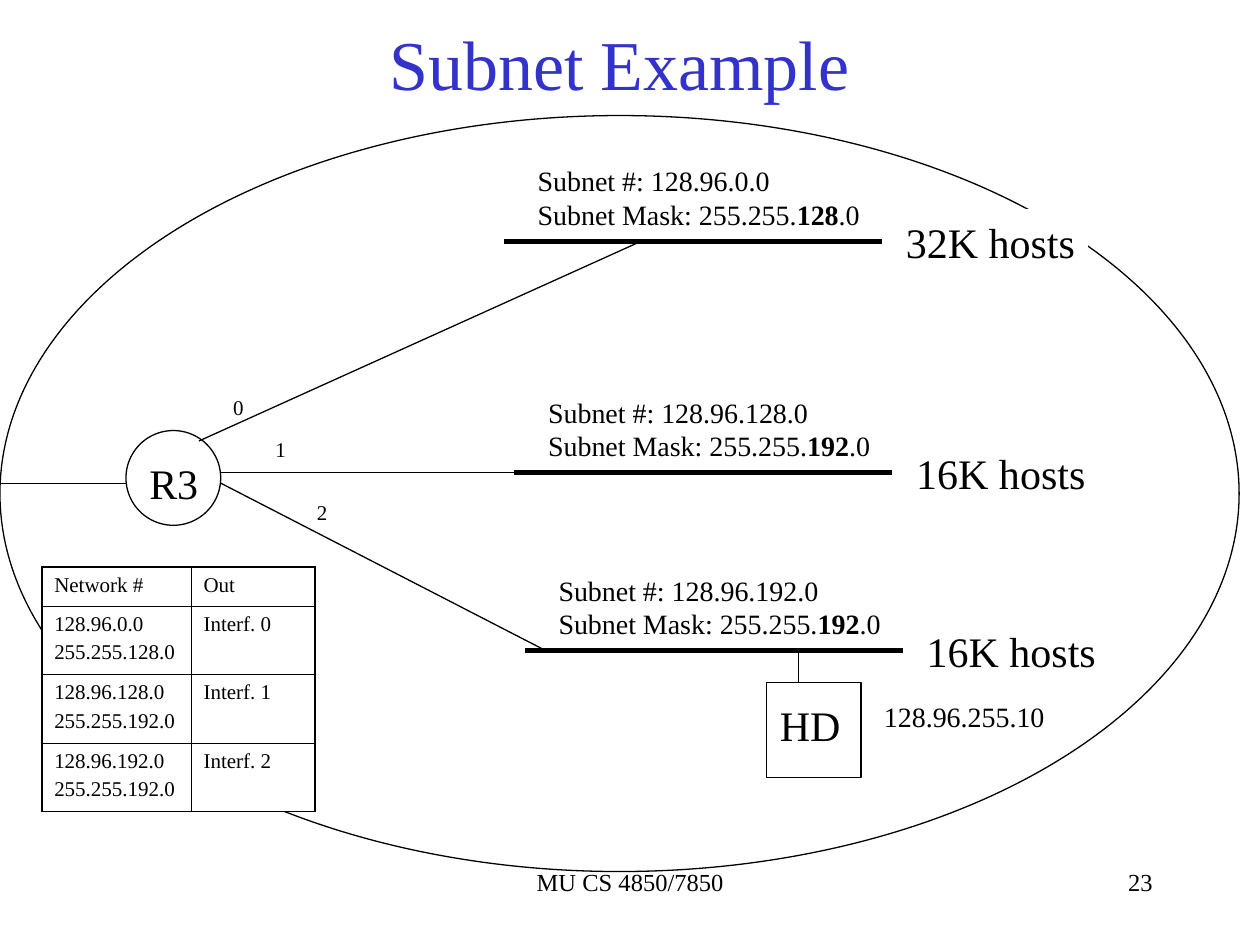
from dataclasses import dataclass

from lxml.etree import SubElement
from pptx import Presentation
from pptx.dml.color import RGBColor as RGB
from pptx.enum.shapes import MSO_CONNECTOR as LINK, MSO_SHAPE as SHAPE
from pptx.enum.text import MSO_ANCHOR as ANCHOR, MSO_AUTO_SIZE as FIT, PP_ALIGN as ALIGN
from pptx.oxml.ns import qn
from pptx.util import Cm, Pt


@dataclass(frozen=True)
class Theme:
    font: str = "Times New Roman"
    ink: RGB = RGB(0x00, 0x00, 0x00)
    paper: RGB = RGB(0xFF, 0xFF, 0xFF)
    accent: RGB = RGB(0x33, 0x33, 0xCC)
    title: int = 40
    large: int = 24
    body: int = 16
    foot: int = 14
    small: int = 12
    thin: float = 0.75
    thick: float = 3
    inner: float = 0.45
    outer: float = 1.08


THEME = Theme()

# Network number, the three parts of its mask, host count
SUBNETS = [
    ("128.96.0.0", ("255.255.", "128", ".0"), "32K hosts"),
    ("128.96.128.0", ("255.255.", "192", ".0"), "16K hosts"),
    ("128.96.192.0", ("255.255.", "192", ".0"), "16K hosts"),
]
BAR_TOPS = [4.87, 9.53, 13.12]
BAR_LEFT, BAR_STEP, BAR_WIDTH = 10.16, 0.21, 7.62
# Start and end of the line to each subnet, and the place of its number
LINKS = [
    ((4.01, 8.89), (12.91, 4.87), (4.45, 7.83)),
    ((4.45, 9.53), (10.8, 9.53), (5.3, 8.68)),
    ((4.45, 9.74), (11.01, 13.12), (6.14, 9.95)),
]


def fill_text(frame, lines, size, color=THEME.ink, align=ALIGN.LEFT, gap=0):
    """Write lines, each a list of (text, bold) runs."""
    for i, line in enumerate(lines):
        para = frame.add_paragraph() if i else frame.paragraphs[0]
        para.alignment = align
        if i and gap:
            para.space_before = Pt(gap)
        for text, bold in line:
            run = para.add_run()
            run.text = text
            font = run.font
            font.name, font.size, font.bold = THEME.font, Pt(size), bold
            font.color.rgb = color


def plain(*lines):
    return [[(line, False)] for line in lines]


def add_text(slide, box, lines, size, wrap=False, **style):
    frame = slide.shapes.add_textbox(*map(Cm, box)).text_frame
    frame.word_wrap = wrap
    frame.auto_size = FIT.NONE if wrap else FIT.SHAPE_TO_FIT_TEXT
    fill_text(frame, lines, size, **style)
    return frame


def add_outline(slide, kind, box):
    shape = slide.shapes.add_shape(kind, *map(Cm, box))
    shape.shadow.inherit = False
    shape.fill.background()
    shape.line.color.rgb = THEME.ink
    shape.line.width = Pt(THEME.thin)


def add_line(slide, start, end, width=THEME.thin):
    line = slide.shapes.add_connector(LINK.STRAIGHT, *map(Cm, start + end))
    line.line.color.rgb = THEME.ink
    line.line.width = Pt(width)
    SubElement(line._element.spPr, qn("a:effectLst"))


def add_hosts(slide, box, label):
    """Add a white label that hides the outline behind it."""
    shape = slide.shapes.add_shape(SHAPE.RECTANGLE, *map(Cm, box))
    shape.shadow.inherit = False
    shape.fill.solid()
    shape.fill.fore_color.rgb = shape.line.color.rgb = THEME.paper
    shape.line.width = Pt(THEME.thin)
    frame = shape.text_frame
    frame.word_wrap = False
    frame.vertical_anchor = ANCHOR.TOP
    fill_text(frame, plain(label), THEME.large)


def add_subnet(slide, index):
    net, (head, bits, tail), hosts = SUBNETS[index]
    left, top = BAR_LEFT + index * BAR_STEP, BAR_TOPS[index]
    start, end, spot = LINKS[index]
    add_line(slide, start, end)
    add_line(slide, (left, top), (left + BAR_WIDTH, top), THEME.thick)
    lines = [
        [(f"Subnet #: {net}", False)],
        [(f"Subnet Mask: {head}", False), (bits, True), (tail, False)],
    ]
    add_text(slide, (left + 0.43, top - 1.69, 7.2, 1.63), lines, THEME.body, wrap=True)
    add_hosts(slide, (left + 7.85, top - 0.64, 3.91, 1.28), hosts)
    add_text(slide, (*spot, 0.71, 0.76), plain(str(index)), THEME.small)


def set_edges(cell, outer):
    """Draw the four cell borders, heavier on the sides named in outer."""
    props = cell._tc.get_or_add_tcPr()
    for side in "LRTB":
        width = THEME.outer if side in outer else THEME.inner
        edge = SubElement(props, qn(f"a:ln{side}"), w=str(Pt(width)))
        fill = SubElement(edge, qn("a:solidFill"))
        SubElement(fill, qn("a:srgbClr"), val=str(THEME.ink))


def add_routes(slide):
    rows = [(["Network #"], ["Out"])]
    for i, (net, mask, _) in enumerate(SUBNETS):
        rows.append(([net, "".join(mask)], [f"Interf. {i}"]))
    widths, heights = [3.01, 2.5], [0.79] + [1.38] * len(SUBNETS)
    box = (0.84, 11.43, sum(widths), sum(heights))
    table = slide.shapes.add_table(len(rows), 2, *map(Cm, box)).table
    table.first_row = table.horz_banding = False
    for col, width in zip(table.columns, widths):
        col.width = Cm(width)
    for r, (row, height) in enumerate(zip(rows, heights)):
        table.rows[r].height = Cm(height)
        ends = ("T" if r == 0 else "") + ("B" if r == len(rows) - 1 else "")
        for c, lines in enumerate(row):
            cell = table.cell(r, c)
            set_edges(cell, "LR"[c] + ends)
            cell.fill.solid()
            cell.fill.fore_color.rgb = THEME.paper
            fill_text(cell.text_frame, plain(*lines), THEME.small, gap=3)


def add_router(slide):
    add_outline(slide, SHAPE.OVAL, (2.54, 8.68, 1.91, 1.91))
    add_text(slide, (2.76, 9.1, 1.5, 1.28), plain("R3"), THEME.large)
    add_line(slide, (2.54, 9.74), (0, 9.74))


def add_host(slide):
    add_line(slide, (16.09, 13.12), (16.09, 13.76))
    add_outline(slide, SHAPE.RECTANGLE, (15.45, 13.76, 1.91, 1.91))
    add_text(slide, (15.47, 13.97, 1.73, 1.28), plain("HD"), THEME.large)
    add_text(slide, (17.57, 13.97, 3.74, 0.94), plain("128.96.255.10"), THEME.body)


def main():
    deck = Presentation()
    deck.slide_width, deck.slide_height = Cm(25.4), Cm(19.05)
    slide = deck.slides.add_slide(deck.slide_layouts[6])
    add_text(slide, (8.68, 17.36, 8.05, 1.27), plain("MU CS 4850/7850"),
             THEME.foot, wrap=True, align=ALIGN.CENTER)
    add_text(slide, (18.2, 17.36, 5.29, 1.27), plain("23"),
             THEME.foot, wrap=True, align=ALIGN.RIGHT)
    title = add_text(slide, (1.69, 0, 21.59, 2.52), plain("Subnet Example"),
                     THEME.title, wrap=True, color=THEME.accent, align=ALIGN.CENTER)
    title.vertical_anchor = ANCHOR.MIDDLE
    add_outline(slide, SHAPE.OVAL, (0, 2.33, 24.98, 15.24))
    add_router(slide)
    for index in range(len(SUBNETS)):
        add_subnet(slide, index)
    add_host(slide)
    add_routes(slide)
    deck.save("out.pptx")


if __name__ == "__main__":
    main()
